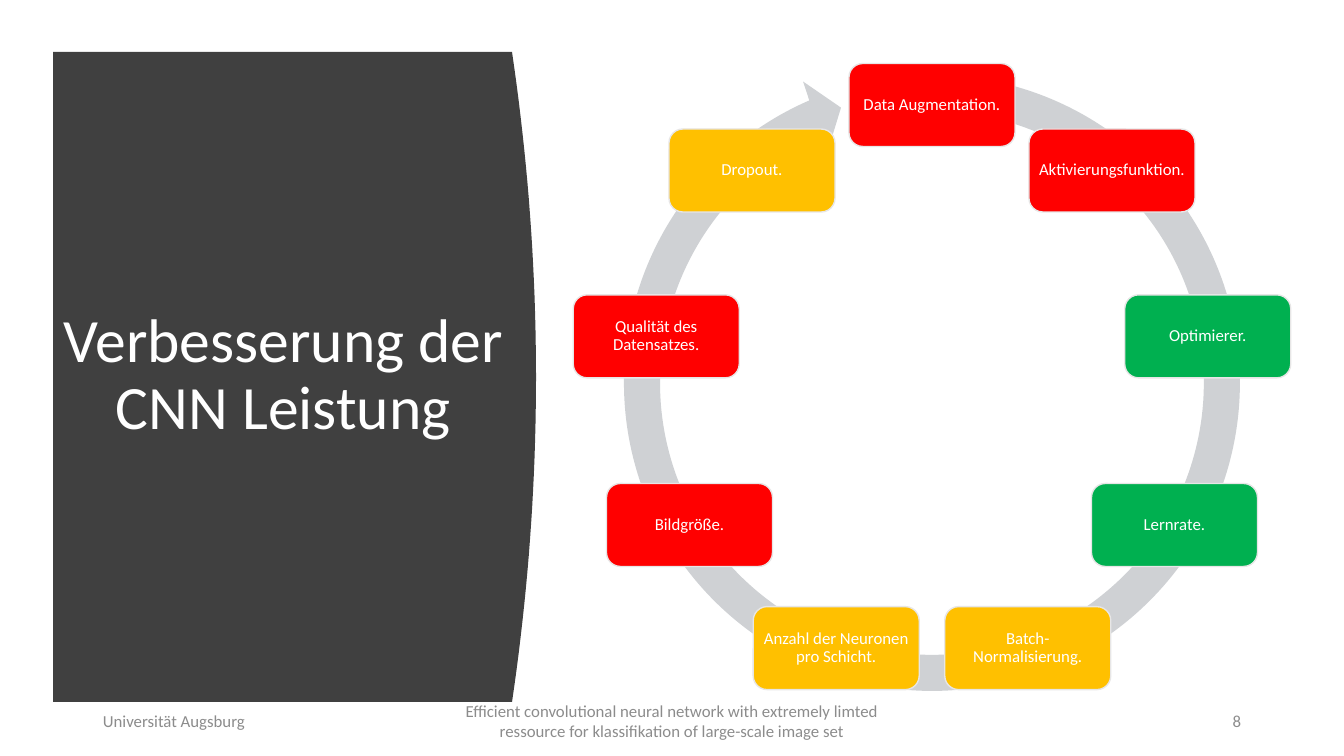
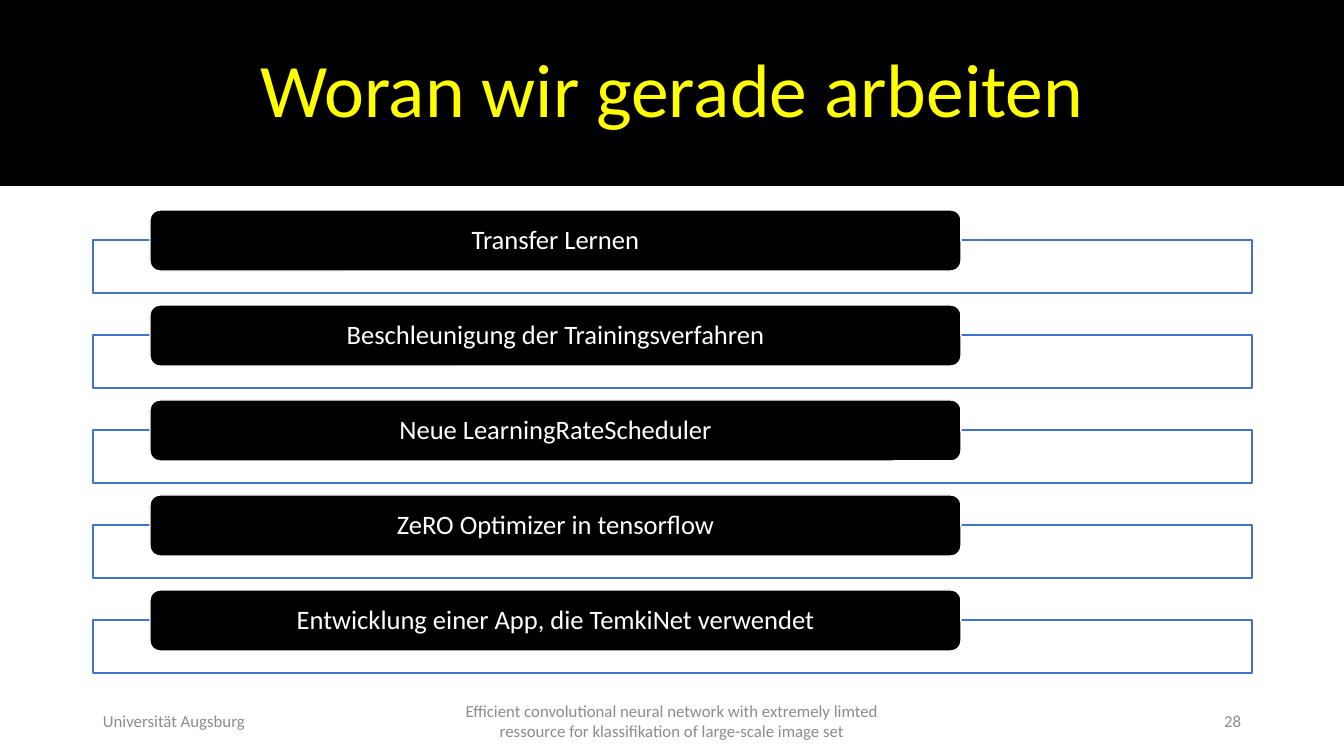
import math

import pptx
import pptx.dml.color
import pptx.enum.shapes
import pptx.enum.text
import pptx.util

RGBColor = pptx.dml.color.RGBColor
MSO_SHAPE = pptx.enum.shapes.MSO_SHAPE
ALIGN = pptx.enum.text.PP_ALIGN
MIDDLE = pptx.enum.text.MSO_ANCHOR.MIDDLE

# Colours and font
WHITE = RGBColor(0xFF, 0xFF, 0xFF)
BLACK = RGBColor(0x00, 0x00, 0x00)
YELLOW = RGBColor(0xFF, 0xFF, 0x00)
CHARCOAL = RGBColor(0x40, 0x40, 0x40)
RED = RGBColor(0xFF, 0x00, 0x00)
GREEN = RGBColor(0x00, 0xB0, 0x50)
AMBER = RGBColor(0xFF, 0xC0, 0x00)
RING_GREY = RGBColor(0xCF, 0xD1, 0xD4)
EDGE_GREY = RGBColor(0xE7, 0xE6, 0xE6)
FOOTER_GREY = RGBColor(0x8C, 0x8C, 0x8C)
BLUE = RGBColor(0x44, 0x72, 0xC4)
FONT = "Calibri"

# Content
CYCLE_TITLE = "Verbesserung der CNN Leistung"
CYCLE_STEPS = [
    ("Data Augmentation.", RED),
    ("Aktivierungsfunktion.", RED),
    ("Optimierer.", GREEN),
    ("Lernrate.", GREEN),
    ("Batch-Normalisierung.", AMBER),
    ("Anzahl der Neuronen pro Schicht.", AMBER),
    ("Bildgröße.", RED),
    ("Qualität des Datensatzes.", RED),
    ("Dropout.", AMBER),
]
WORK_TITLE = "Woran wir gerade arbeiten"
WORK_ITEMS = [
    "Transfer Lernen",
    "Beschleunigung der Trainingsverfahren",
    "Neue LearningRateScheduler",
    "ZeRO Optimizer in tensorflow",
    "Entwicklung einer App, die TemkiNet verwendet",
]
UNIVERSITY = "Universität Augsburg"
TOPIC = ("Efficient convolutional neural network with extremely limted "
         "ressource for klassifikation of large-scale image set")

# Geometry in px
PAGE_WIDTH, PAGE_HEIGHT = 1344, 756
SCALE = 12192000 / PAGE_WIDTH
PANEL_LEFT, PANEL_TOP, PANEL_BOTTOM = 53, 52, 702
PANEL_EDGE, PANEL_BULGE, PANEL_SEGMENTS = 512, 24, 40
PANEL_FINENESS = 100  # outline units per px, keeps the curve smooth
RING_BOX = (604, 55, 656, 656)
RING_ADJUSTMENTS = (0.055, 3.307, 147.727, 168.045, 0.058)
CYCLE_X, CYCLE_Y, CYCLE_RADIUS = 932, 385, 280
STEP_WIDTH, STEP_HEIGHT = 166, 83
ROW_TOP, ROW_PITCH = 210, 95
FOOTER_TOP, FOOTER_HEIGHT = 701, 40


def px(length):
    return pptx.util.Emu(round(length * SCALE))


def write(shape, text, size, color, align=ALIGN.CENTER, spacing=None, inset=None):
    frame = shape.text_frame
    frame.text = text
    frame.word_wrap = True
    frame.vertical_anchor = MIDDLE
    if inset is not None:
        frame.margin_left = frame.margin_right = px(inset)
        frame.margin_top = frame.margin_bottom = 0
    para = frame.paragraphs[0]
    para.alignment = align
    if spacing:
        para.line_spacing = spacing
    para.font.name = FONT
    para.font.size = pptx.util.Pt(size)
    para.font.color.rgb = color


def paint(shape, fill, line=None):
    shape.shadow.inherit = False
    shape.fill.solid()
    shape.fill.fore_color.rgb = fill
    if line is None:
        shape.line.fill.background()
    else:
        shape.line.color.rgb = line
        shape.line.width = pptx.util.Pt(1)


def add_box(page, kind, area, fill, line=None):
    box = page.shapes.add_shape(kind, *map(px, area))
    paint(box, fill, line)
    return box


def add_page(deck, title, area, size, color, number):
    """Title-only page with the shared title style and footer."""
    page = deck.slides.add_slide(deck.slide_layouts[5])
    heading = page.shapes.title
    heading.left, heading.top, heading.width, heading.height = map(px, area)
    write(heading, title, size, color, spacing=0.9)
    footers = [
        (93, 302, UNIVERSITY, ALIGN.LEFT),
        (445, 454, TOPIC, ALIGN.CENTER),
        (949, 302, number, ALIGN.RIGHT),
    ]
    for left, width, text, align in footers:
        box = page.shapes.add_textbox(
            px(left), px(FOOTER_TOP), px(width), px(FOOTER_HEIGHT))
        write(box, text, 12, FOOTER_GREY, align)
    return page


def add_panel(page):
    """Dark panel whose right edge is a shallow parabola, behind the title."""
    outline = [(PANEL_LEFT, PANEL_TOP)]
    for index in range(PANEL_SEGMENTS + 1):
        share = index / PANEL_SEGMENTS
        bulge = PANEL_BULGE * (1 - (2 * share - 1) ** 2)
        outline.append((PANEL_EDGE + bulge,
                        PANEL_TOP + share * (PANEL_BOTTOM - PANEL_TOP)))
    outline.append((PANEL_LEFT, PANEL_BOTTOM))
    points = [(x * PANEL_FINENESS, y * PANEL_FINENESS) for x, y in outline]
    builder = page.shapes.build_freeform(
        *points[0], scale=SCALE / PANEL_FINENESS)
    builder.add_line_segments(points[1:], close=True)
    panel = builder.convert_to_shape()
    paint(panel, CHARCOAL)
    page.shapes.title.element.addprevious(panel.element)


def build_cycle(deck):
    page = add_page(deck, CYCLE_TITLE, (53, 112, 461, 528), 44, WHITE, "8")
    add_panel(page)

    # Ring arrow
    ring = add_box(page, MSO_SHAPE.CIRCULAR_ARROW, RING_BOX, RING_GREY)
    for index, value in enumerate(RING_ADJUSTMENTS):
        ring.adjustments[index] = value

    # Steps, clockwise from the top
    for index, (text, fill) in enumerate(CYCLE_STEPS):
        angle = math.tau * index / len(CYCLE_STEPS)
        left = CYCLE_X + CYCLE_RADIUS * math.sin(angle) - STEP_WIDTH / 2
        top = CYCLE_Y - CYCLE_RADIUS * math.cos(angle) - STEP_HEIGHT / 2
        step = add_box(page, MSO_SHAPE.ROUNDED_RECTANGLE,
                       (left, top, STEP_WIDTH, STEP_HEIGHT), fill, EDGE_GREY)
        write(step, text, 12, WHITE, spacing=0.9, inset=4)


def build_work(deck):
    page = add_page(deck, WORK_TITLE, (0, 0, PAGE_WIDTH, 186), 54, YELLOW, "28")
    heading = page.shapes.title
    heading.fill.solid()
    heading.fill.fore_color.rgb = BLACK

    # Outlined bars with a label on each
    for index, text in enumerate(WORK_ITEMS):
        top = ROW_TOP + index * ROW_PITCH
        add_box(page, MSO_SHAPE.RECTANGLE, (93, top + 30, 1159, 53), WHITE, BLUE)
        label = add_box(page, MSO_SHAPE.ROUNDED_RECTANGLE,
                        (150, top, 811, 61), BLACK, WHITE)
        write(label, text, 19, WHITE, spacing=0.9, inset=33)


def main():
    deck = pptx.Presentation()
    deck.slide_width, deck.slide_height = px(PAGE_WIDTH), px(PAGE_HEIGHT)
    build_cycle(deck)
    build_work(deck)
    deck.save("out.pptx")


if __name__ == "__main__":
    main()
